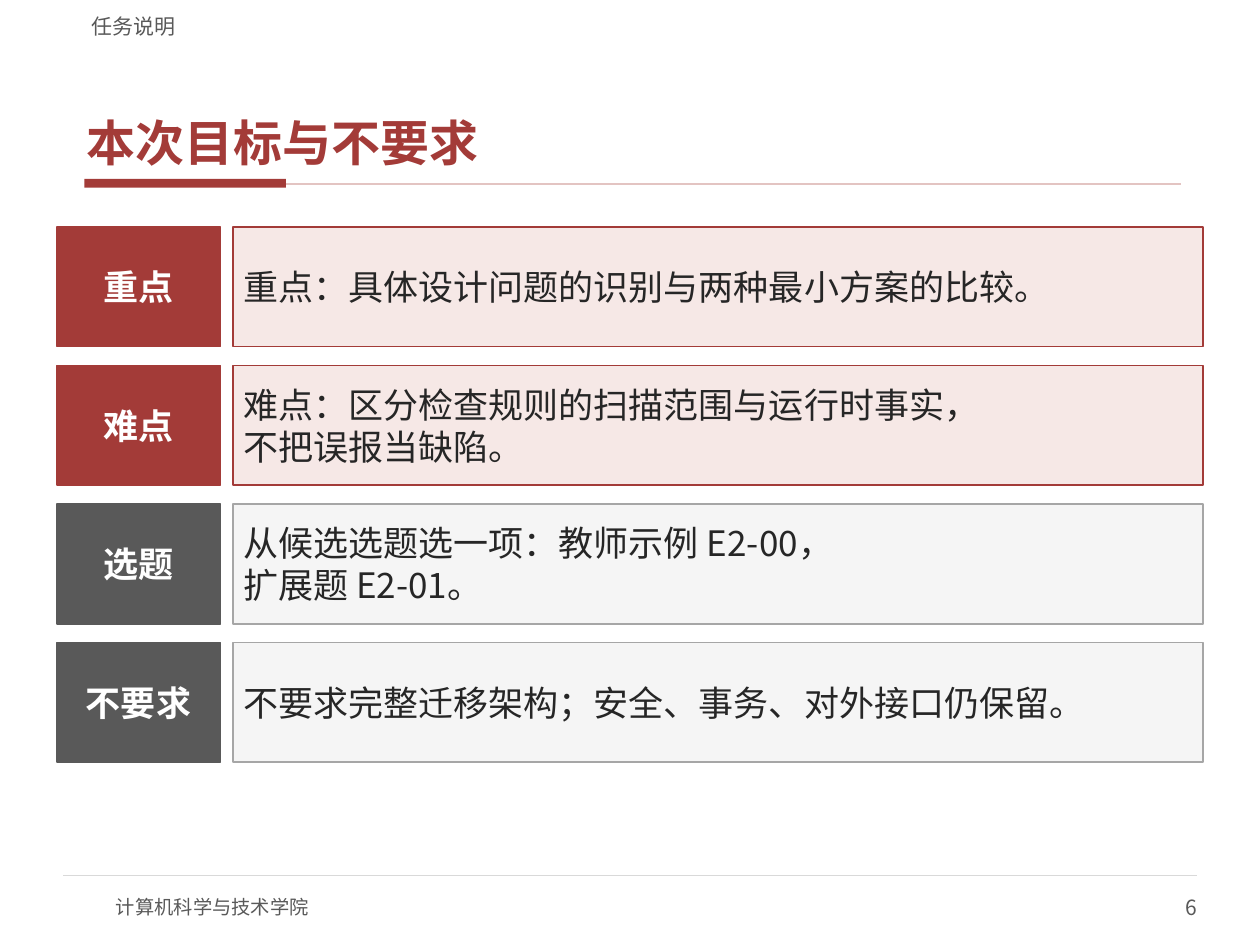
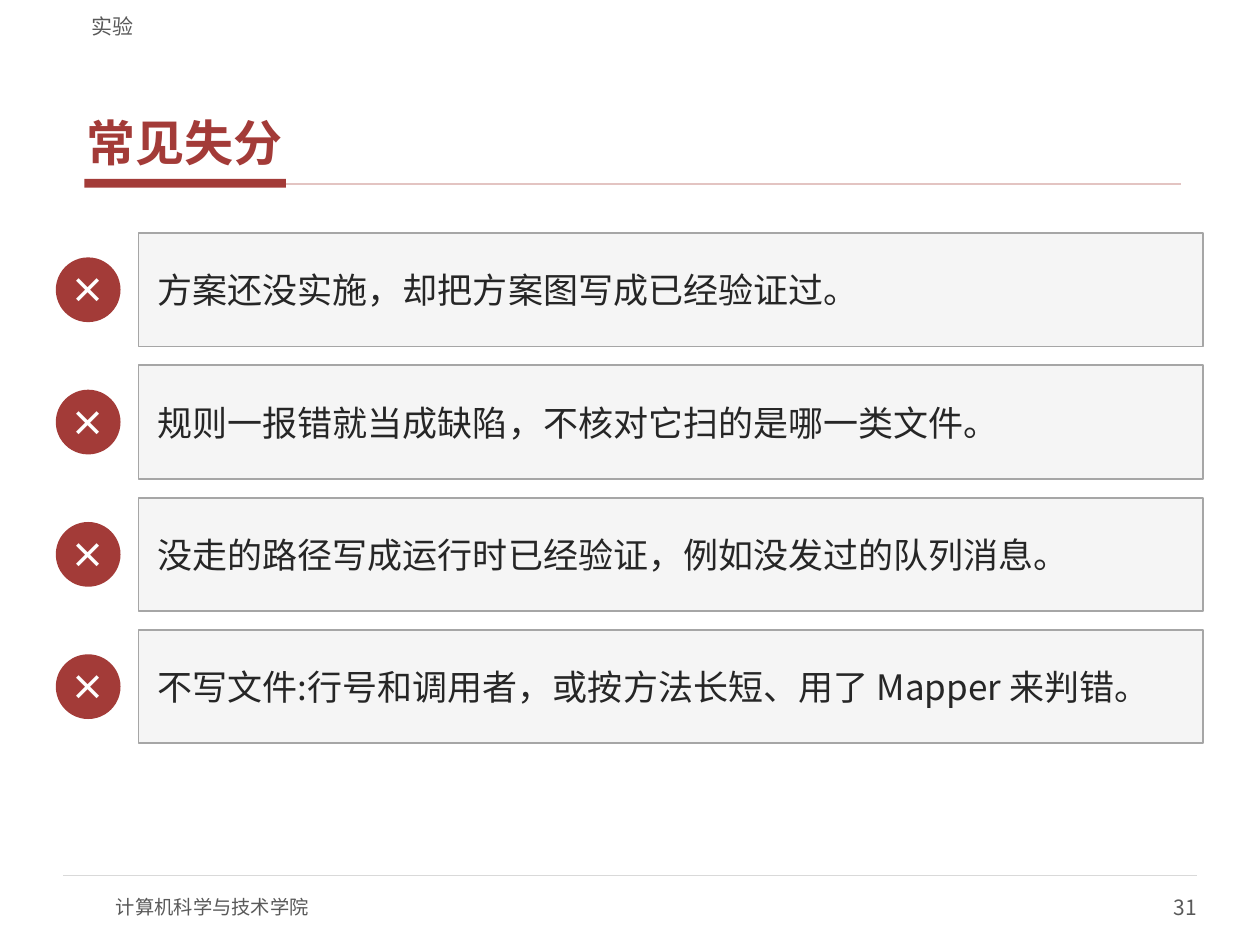
"""Build two course slides: task goals and common ways to lose marks."""
from lxml import etree
from pptx import Presentation
from pptx.dml.color import RGBColor
from pptx.enum.shapes import MSO_CONNECTOR, MSO_SHAPE
from pptx.enum.text import MSO_ANCHOR, MSO_AUTO_SIZE, PP_ALIGN
from pptx.oxml.ns import qn
from pptx.util import Inches, Pt

RECTANGLE, OVAL = MSO_SHAPE.RECTANGLE, MSO_SHAPE.OVAL
STRAIGHT = MSO_CONNECTOR.STRAIGHT
MIDDLE, BOTTOM = MSO_ANCHOR.MIDDLE, MSO_ANCHOR.BOTTOM
LEFT, CENTER, RIGHT = PP_ALIGN.LEFT, PP_ALIGN.CENTER, PP_ALIGN.RIGHT

FONT = "Noto Sans CJK SC"
COLORS = {
    "red": "A33B38", "pale_red": "F6E8E6", "rule": "E3C4C2",
    "dark_gray": "595959", "gray": "A6A6A6", "pale_gray": "F5F5F5",
    "footer_rule": "D9D9D9", "text": "262626", "white": "FFFFFF",
}
FOOTER = "计算机科学与技术学院"

GOALS = {
    "section": "任务说明", "title": "本次目标与不要求", "number": "6",
    "rows": [
        ("重点", "重点：具体设计问题的识别与两种最小方案的比较。", "focus"),
        ("难点", "难点：区分检查规则的扫描范围与运行时事实，\n不把误报当缺陷。", "focus"),
        ("选题", "从候选选题选一项：教师示例 E2-00，\n扩展题 E2-01。", "scope"),
        ("不要求", "不要求完整迁移架构；安全、事务、对外接口仍保留。", "scope"),
    ],
}
ROW_STYLES = {
    "focus": {"label": "red", "fill": "pale_red", "border": "red"},
    "scope": {"label": "dark_gray", "fill": "pale_gray", "border": "gray"},
}
MISTAKES = {
    "section": "实验", "title": "常见失分", "number": "31",
    "rows": [
        "方案还没实施，却把方案图写成已经验证过。",
        "规则一报错就当成缺陷，不核对它扫的是哪一类文件。",
        "没走的路径写成运行时已经验证，例如没发过的队列消息。",
        "不写文件:行号和调用者，或按方法长短、用了 Mapper 来判错。",
    ],
}


def color(name):
    return RGBColor.from_string(COLORS[name])


def write(shape, text, size, ink, bold=False, align=LEFT, anchor=MIDDLE, insets=(0, 0)):
    frame = shape.text_frame
    frame.word_wrap = True
    frame.auto_size = MSO_AUTO_SIZE.NONE
    frame.vertical_anchor = anchor
    frame.margin_left = frame.margin_right = Inches(insets[0])
    frame.margin_top = frame.margin_bottom = Inches(insets[1])
    paragraph = frame.paragraphs[0]
    paragraph.text = text
    paragraph.alignment = align
    font = paragraph.font
    font.size, font.bold, font.name = Pt(size), bold, FONT
    font.color.rgb = color(ink)
    defaults = paragraph._p.pPr.find(qn("a:defRPr"))
    etree.SubElement(defaults, qn("a:ea")).set("typeface", FONT)


def add_box(slide, kind, place, fill, border=None):
    shape = slide.shapes.add_shape(kind, *map(Inches, place))
    shape.shadow.inherit = False
    shape.fill.solid()
    shape.fill.fore_color.rgb = color(fill)
    if border:
        shape.line.color.rgb = color(border)
        shape.line.width = Pt(1)
    else:
        shape.line.fill.background()
    return shape


def add_rule(slide, left, right, top, ink, width):
    rule = slide.shapes.add_connector(STRAIGHT, *map(Inches, (left, top, right, top)))
    rule.line.color.rgb = color(ink)
    rule.line.width = Pt(width)
    etree.SubElement(rule._element.spPr, qn("a:effectLst"))


def add_text(slide, place, text, size, **style):
    write(slide.shapes.add_textbox(*map(Inches, place)), text, size, "dark_gray", **style)


def add_slide(presentation, content):
    slide = presentation.slides.add_slide(presentation.slide_layouts[5])
    add_box(slide, RECTANGLE, (0.67, 1.42, 1.6, 0.07), "red")
    add_rule(slide, 2.27, 9.37, 1.46, "rule", 1)
    add_rule(slide, 0.5, 9.5, 6.95, "footer_rule", 0.75)
    add_text(slide, (0.92, 7, 4, 0.4), FOOTER, 11)
    add_text(slide, (7.5, 7, 2, 0.4), content["number"], 12, align=RIGHT)
    add_text(slide, (0.63, 0.04, 8.75, 0.27), content["section"], 12,
             anchor=BOTTOM, insets=(0.1, 0))
    title = slide.shapes.title
    title.left, title.top, title.width, title.height = map(Inches, (0.63, 0.33, 8.75, 1.05))
    write(title, content["title"], 28, "red", bold=True, anchor=BOTTOM, insets=(0.06, 0.02))
    title.text_frame.paragraphs[0].space_after = Pt(2)
    return slide


def add_goals(presentation):
    slide = add_slide(presentation, GOALS)
    height, gap, insets = 0.95, 0.15, (0.08, 0.04)
    for index, (label, text, style_name) in enumerate(GOALS["rows"]):
        style = ROW_STYLES[style_name]
        top = 1.8 + index * (height + gap)
        tag = add_box(slide, RECTANGLE, (0.45, top, 1.3, height), style["label"], style["label"])
        write(tag, label, 20, "white", bold=True, align=CENTER, insets=insets)
        panel = add_box(slide, RECTANGLE, (1.85, top, 7.7, height), style["fill"], style["border"])
        write(panel, text, 20, "text", insets=insets)


def add_mistakes(presentation):
    slide = add_slide(presentation, MISTAKES)
    height, gap, badge_size = 0.9, 0.15, 0.5
    for index, text in enumerate(MISTAKES["rows"]):
        top = 1.85 + index * (height + gap)
        badge_top = top + (height - badge_size) / 2
        badge = add_box(slide, OVAL, (0.45, badge_top, badge_size, badge_size), "red", "red")
        write(badge, "×", 20, "white", bold=True, align=CENTER)
        panel = add_box(slide, RECTANGLE, (1.1, top, 8.45, height), "pale_gray", "gray")
        write(panel, text, 20, "text", insets=(0.15, 0.07))


def main():
    presentation = Presentation()
    presentation.slide_width, presentation.slide_height = Inches(10), Inches(7.5)
    add_goals(presentation)
    add_mistakes(presentation)
    presentation.save("out.pptx")


if __name__ == "__main__":
    main()
